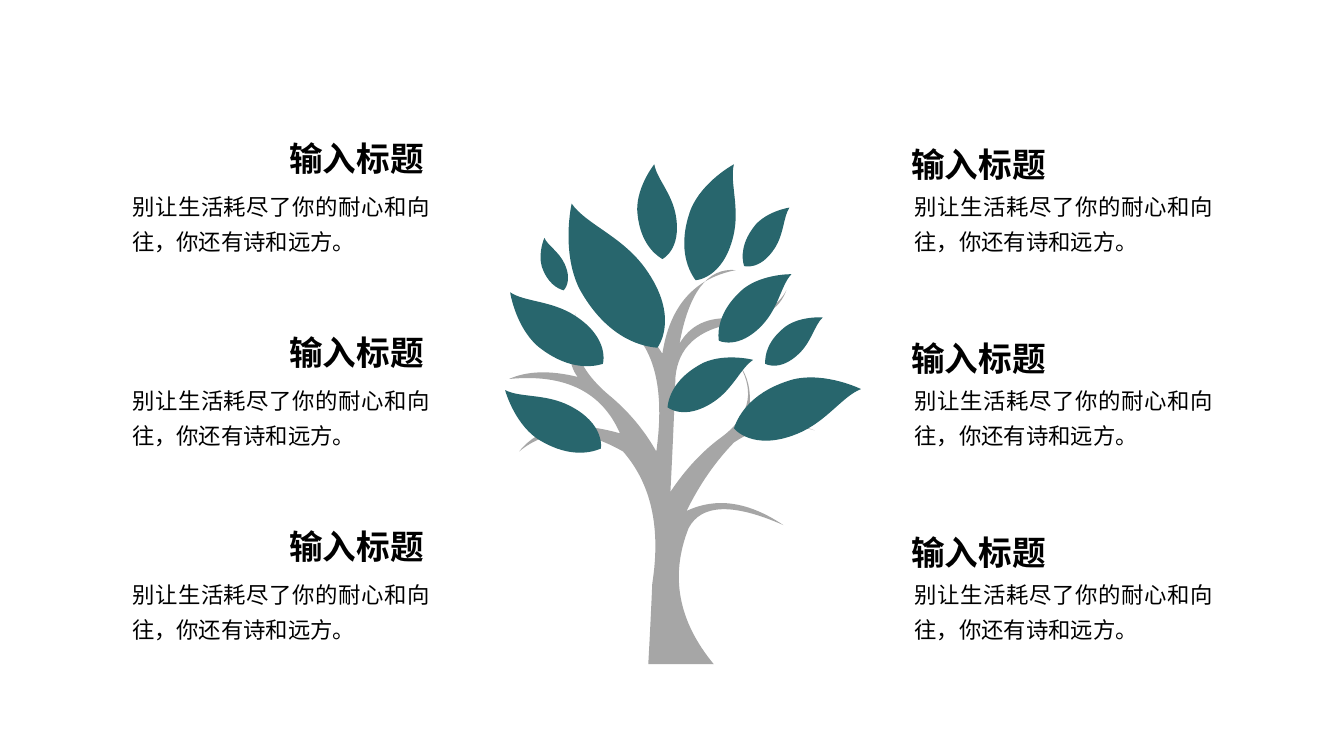
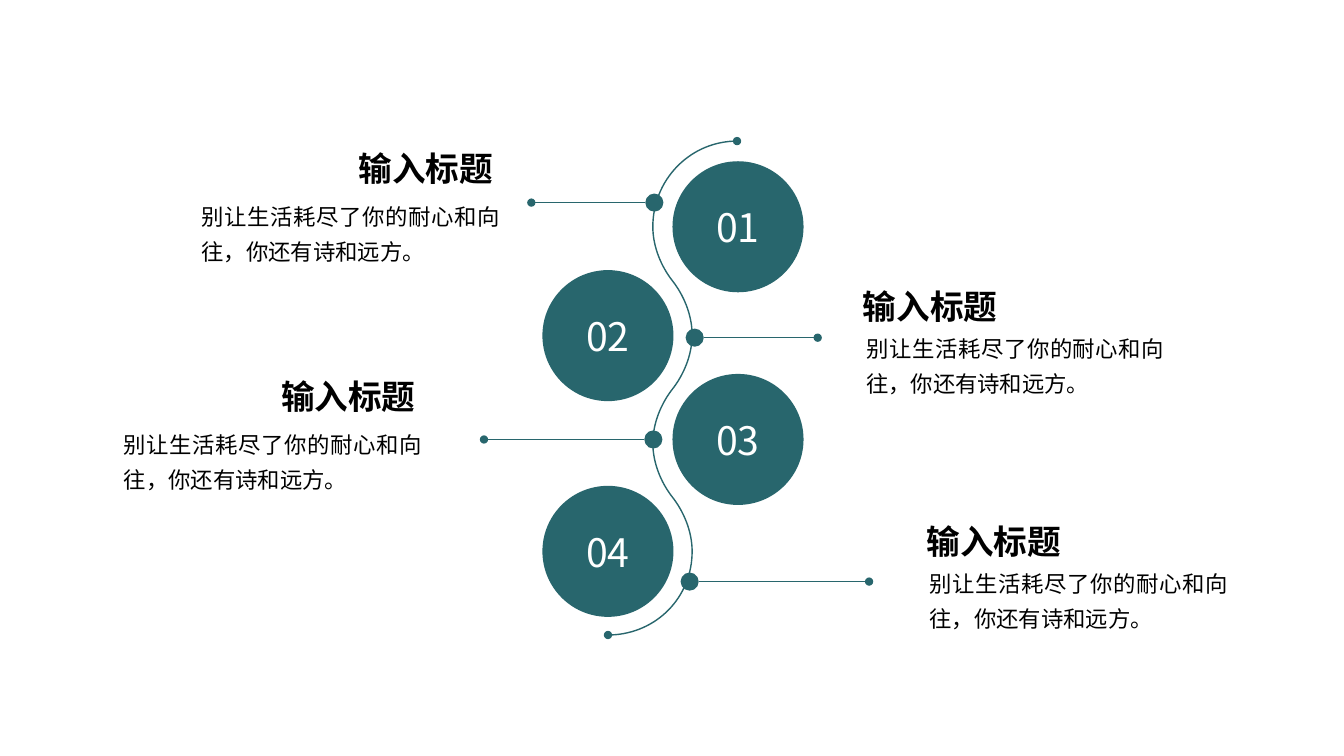
from math import hypot

from lxml.etree import SubElement
from pptx import Presentation
from pptx.dml.color import RGBColor
from pptx.enum.shapes import MSO_CONNECTOR, MSO_SHAPE
from pptx.enum.text import MSO_ANCHOR, MSO_AUTO_SIZE, PP_ALIGN
from pptx.oxml.ns import qn
from pptx.util import Inches, Pt

COLORS = {"teal": "28666D", "bark": "A6A6A6", "ink": "000000", "paper": "FFFFFF"}
FONT = "Noto Sans CJK JP"
HEADING = "输入标题"
BODY = "别让生活耗尽了你的耐心和向往，你还有诗和远方。"
BODY_SIZE = (2.96, 0.66)
HEADING_SIZE = (1.55, 0.5)
# Offset of a heading from its body text, by side of the slide
HEADING_OFFSET = {"left": (1.46, -0.52), "right": (-0.13, -0.46)}

# Slide 1: columns and rows of text around the tree
COLUMNS = {"left": 1.31, "right": 9.07}
FIRST_ROW, LAST_ROW, ROWS = 1.84, 5.69, 3

# Trunk and branches: each bend has a control point and an end point
TRUNK_START = (6.43, 6.59)
TRUNK_BENDS = [
    (6.45, 6.25, 6.47, 5.79), (6.6, 4.96, 6.18, 4.48), (5.57, 4.13, 5.15, 4.48),
    (5.45, 4.1, 6.15, 4.3), (5.88, 3.68, 5.05, 3.76), (5.32, 3.64, 5.73, 3.74),
    (5.58, 3.55, 5.71, 3.11), (5.6, 3.55, 6.04, 3.92), (6.33, 4.16, 6.51, 4.48),
    (6.66, 3.4, 6.04, 3.13), (6.35, 3.15, 6.57, 3.51), (6.68, 2.8, 7.3, 2.68),
    (6.88, 2.64, 6.74, 3.41), (6.9, 3.13, 7.28, 3.16), (7.68, 3.12, 7.8, 2.88),
    (7.7, 3.16, 7.28, 3.21), (6.74, 3.3, 6.7, 3.74), (6.68, 4.3, 6.65, 4.88),
    (6.87, 4.55, 7.14, 4.35), (7.57, 4.04, 7.34, 3.63), (7.5, 3.85, 7.4, 4.24),
    (7.7, 4.13, 8.08, 4.27), (7.65, 4.14, 7.28, 4.39), (7, 4.68, 6.81, 5.07),
    (7.25, 4.86, 7.77, 5.21), (7.02, 4.88, 6.83, 5.24), (6.55, 5.95, 7.08, 6.59),
]
# One leaf outline, from tip (0, 0) to base (1, 0) and back
LEAF = [
    (0, 0), (0, 0), (0.15, -0.01), (0.32, -0.16), (0.56, -0.18), (0.92, -0.21), (1, 0),
    (1, 0), (0.93, 0.1), (0.77, 0.23), (0.46, 0.22), (0.21, 0.2), (0, 0), (0, 0),
][1:]
# Tip and base of every leaf
LEAVES = [
    (8.54, 3.86, 7.28, 4.25), (5.01, 3.87, 5.96, 4.45), (7.47, 3.57, 6.62, 4.04),
    (5.06, 2.9, 5.98, 3.61), (6.49, 1.63, 6.57, 2.57), (5.4, 2.36, 5.59, 2.88),
    (7.83, 2.06, 7.38, 2.64), (7.28, 1.63, 6.9, 2.78), (7.85, 2.72, 7.13, 3.38),
    (8.16, 3.15, 7.59, 3.61), (5.67, 2.02, 6.52, 3.45),
]

# Slide 2: the winding line and its four steps
WAVE_START, WAVE_END = (6.03, 6.3), (7.31, 1.4)
WAVE_MIDDLE, WAVE_SWING = 6.67, 0.195
WAVE_BOTTOM, WAVE_TOP, WAVE_KNOTS = 5.47, 2.25, 7
END_HANDLE = 0.46
CIRCLE, DOT = 1.3, 0.18
# Text on the left belongs to a circle on the right, and the reverse
CIRCLE_LEFT = {"left": 6.67, "right": 5.38}
STEPS = [
    {"number": "01", "side": "left", "circle_top": 1.6, "dot": (6.49, 2.01), "line_end": 5.27, "body": (2, 1.94)},
    {"number": "02", "side": "right", "circle_top": 2.68, "dot": (6.89, 3.35), "line_end": 8.11, "body": (8.59, 3.25)},
    {"number": "03", "side": "left", "circle_top": 3.71, "dot": (6.48, 4.36), "line_end": 4.8, "body": (1.23, 4.2)},
    {"number": "04", "side": "right", "circle_top": 4.82, "dot": (6.84, 5.77), "line_end": 8.62, "body": (9.22, 5.58)},
]


def rgb(color):
    return RGBColor.from_string(COLORS[color])


def box(x, y, width, height):
    return [Inches(value) for value in (x, y, width, height)]


def paint(shape, color):
    shape.shadow.inherit = False
    shape.fill.solid()
    shape.fill.fore_color.rgb = rgb(color)
    shape.line.fill.background()


def stroke(line, *ends):
    """Thin teal line with a round dot at each of the named ends."""
    line.width = Pt(1)
    line.color.rgb = rgb("teal")
    for end in ends:
        SubElement(line._get_or_add_ln(), qn(f"a:{end}")).set("type", "oval")


def add_run(paragraph, text, size, color, bold=False):
    run = paragraph.add_run()
    run.text = text
    run.font.name = FONT
    run.font.size = Pt(size)
    run.font.bold = bold
    run.font.color.rgb = rgb(color)
    SubElement(run._r.get_or_add_rPr(), qn("a:ea")).set("typeface", FONT)


# Outlines are a start point, then three points for each Bézier curve
def trunk_outline():
    points = [TRUNK_START]
    for cx, cy, x, y in TRUNK_BENDS:
        x0, y0 = points[-1]
        points += [((x0 + 2 * cx) / 3, (y0 + 2 * cy) / 3),
                   ((x + 2 * cx) / 3, (y + 2 * cy) / 3), (x, y)]
    return points


def leaf_outline(tip_x, tip_y, base_x, base_y):
    dx, dy = base_x - tip_x, base_y - tip_y
    return [(tip_x + u * dx - v * dy, tip_y + u * dy + v * dx) for u, v in LEAF]


def wave_outline():
    step = (WAVE_BOTTOM - WAVE_TOP) / (WAVE_KNOTS - 1)
    points = [WAVE_START, (WAVE_START[0] + END_HANDLE, WAVE_START[1])]
    for knot in range(WAVE_KNOTS):
        x = WAVE_MIDDLE + WAVE_SWING * (1, 0, -1, 0)[knot % 4]
        y = WAVE_BOTTOM - knot * step
        hx, hy = ((0, 0.2), (0.11, 0.14), (0, 0.2), (-0.11, 0.14))[knot % 4]
        before = END_HANDLE if knot == 0 else hy
        after = END_HANDLE if knot == WAVE_KNOTS - 1 else hy
        points += [(x + hx, y + before), (x, y), (x - hx, y - after)]
    return points + [(WAVE_END[0] - END_HANDLE, WAVE_END[1]), WAVE_END]


def bezier(points, t):
    weights = ((1 - t) ** 3, 3 * t * (1 - t) ** 2, 3 * t * t * (1 - t), t ** 3)
    return tuple(sum(w * p[axis] for w, p in zip(weights, points)) for axis in (0, 1))


def add_curve(shapes, points, close=True):
    """Size a freeform by points along its curves, then give it true curves."""
    emu = [(Inches(x), Inches(y)) for x, y in points]
    along = [bezier(emu[i:i + 4], step / 20)
             for i in range(0, len(emu) - 1, 3) for step in range(1, 21)]
    builder = shapes.build_freeform(*emu[0])
    builder.add_line_segments(along, close=close)
    shape = builder.convert_to_shape()

    outline = shape.element.spPr.find(".//" + qn("a:path"))
    for segment in list(outline):
        outline.remove(segment)
    parts = [("a:moveTo", emu[:1])]
    parts += [("a:cubicBezTo", emu[i:i + 3]) for i in range(1, len(emu), 3)]
    for tag, part in parts:
        segment = SubElement(outline, qn(tag))
        for x, y in part:
            point = SubElement(segment, qn("a:pt"))
            point.set("x", str(x - shape.left))
            point.set("y", str(y - shape.top))
    if close:
        SubElement(outline, qn("a:close"))
    return shape


def add_text(shapes, text, place, size, bold=False, inset=True, spacing=None):
    frame = shapes.add_textbox(*box(*place)).text_frame
    frame.word_wrap = True
    frame.auto_size = MSO_AUTO_SIZE.SHAPE_TO_FIT_TEXT
    if not inset:
        frame.margin_left = frame.margin_top = frame.margin_right = frame.margin_bottom = 0
    paragraph = frame.paragraphs[0]
    paragraph.alignment = PP_ALIGN.JUSTIFY
    if spacing:
        paragraph.line_spacing = spacing
    add_run(paragraph, text, size, "ink", bold)


def add_caption(slide, x, y, side):
    shapes = slide.shapes.add_group_shape().shapes
    dx, dy = HEADING_OFFSET[side]
    add_text(shapes, BODY, (x, y, *BODY_SIZE), 16, inset=False, spacing=1.3)
    add_text(shapes, HEADING, (x + dx, y + dy, *HEADING_SIZE), 24, bold=True)


def build_tree(slide):
    tree = slide.shapes.add_group_shape().shapes
    paint(add_curve(tree, trunk_outline()), "bark")
    for leaf in LEAVES:
        paint(add_curve(tree, leaf_outline(*leaf)), "teal")
    row_step = (LAST_ROW - FIRST_ROW) / (ROWS - 1)
    for side, x in COLUMNS.items():
        for row in range(ROWS):
            add_caption(slide, x, FIRST_ROW + row * row_step, side)


def build_steps(slide):
    shapes = slide.shapes
    wave = add_curve(shapes, wave_outline(), close=False)
    wave.shadow.inherit = False
    wave.fill.background()
    stroke(wave.line, "headEnd", "tailEnd")

    for step in STEPS:
        # Dot on the wave and its line towards the text
        x, y = step["dot"]
        dot = shapes.add_shape(MSO_SHAPE.OVAL, *box(x - DOT / 2, y - DOT / 2, DOT, DOT))
        paint(dot, "teal")
        edge = x - DOT / 2 if step["side"] == "left" else x + DOT / 2
        pointer = shapes.add_connector(MSO_CONNECTOR.STRAIGHT, *box(edge, y, step["line_end"], y))
        stroke(pointer.line, "tailEnd")
        SubElement(pointer.element.spPr, qn("a:effectLst"))

        # Numbered circle
        place = box(CIRCLE_LEFT[step["side"]], step["circle_top"], CIRCLE, CIRCLE)
        circle = shapes.add_shape(MSO_SHAPE.OVAL, *place)
        paint(circle, "teal")
        circle.text_frame.vertical_anchor = MSO_ANCHOR.MIDDLE
        paragraph = circle.text_frame.paragraphs[0]
        paragraph.alignment = PP_ALIGN.CENTER
        add_run(paragraph, step["number"], 28, "paper")

        add_caption(slide, *step["body"], step["side"])


def main():
    deck = Presentation()
    deck.slide_width, deck.slide_height = Inches(13.33), Inches(7.5)
    blank = deck.slide_layouts[6]
    for build in (build_tree, build_steps):
        slide = deck.slides.add_slide(blank)
        slide.background.fill.solid()
        slide.background.fill.fore_color.rgb = rgb("paper")
        build(slide)
    deck.save("out.pptx")


if __name__ == "__main__":
    main()
